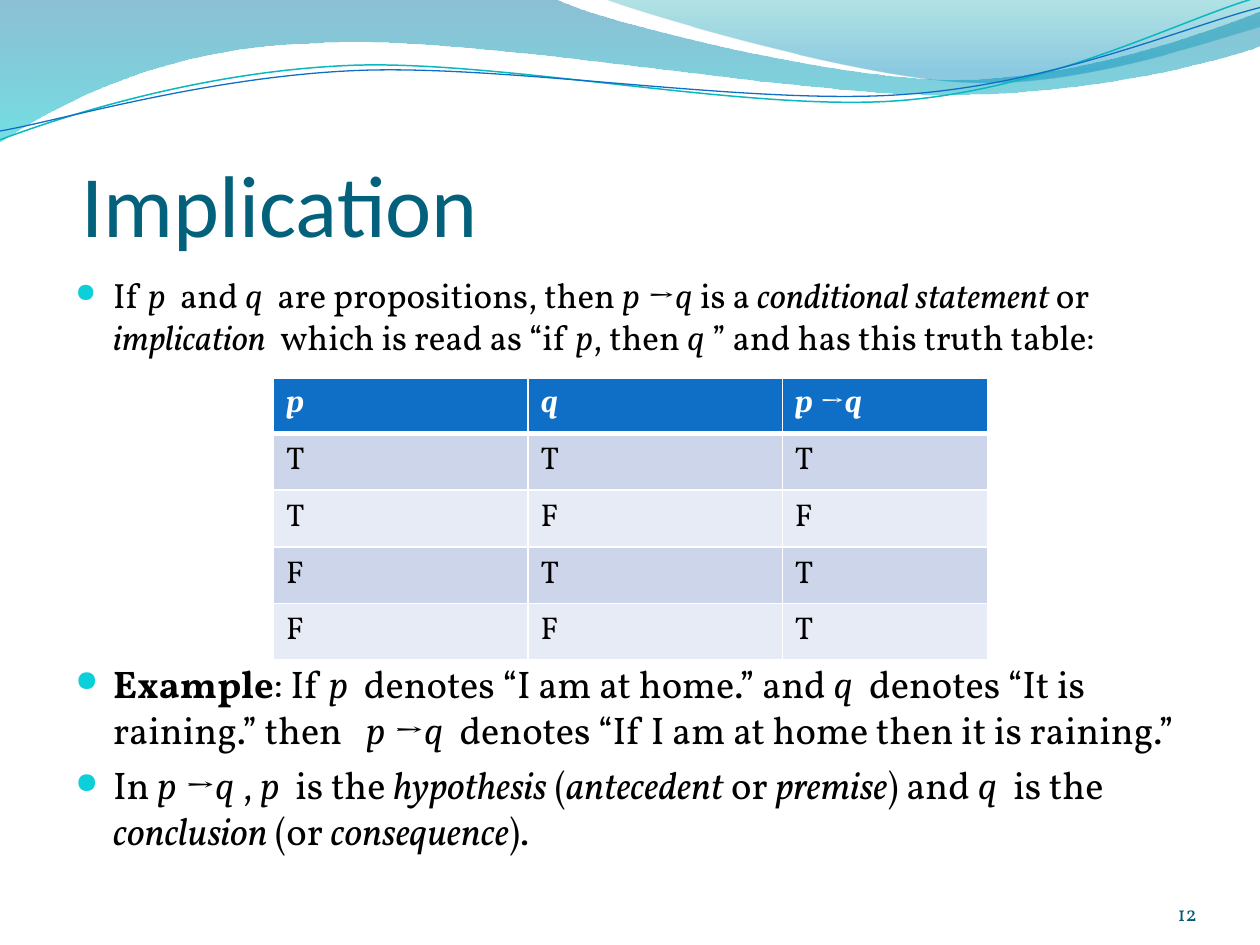
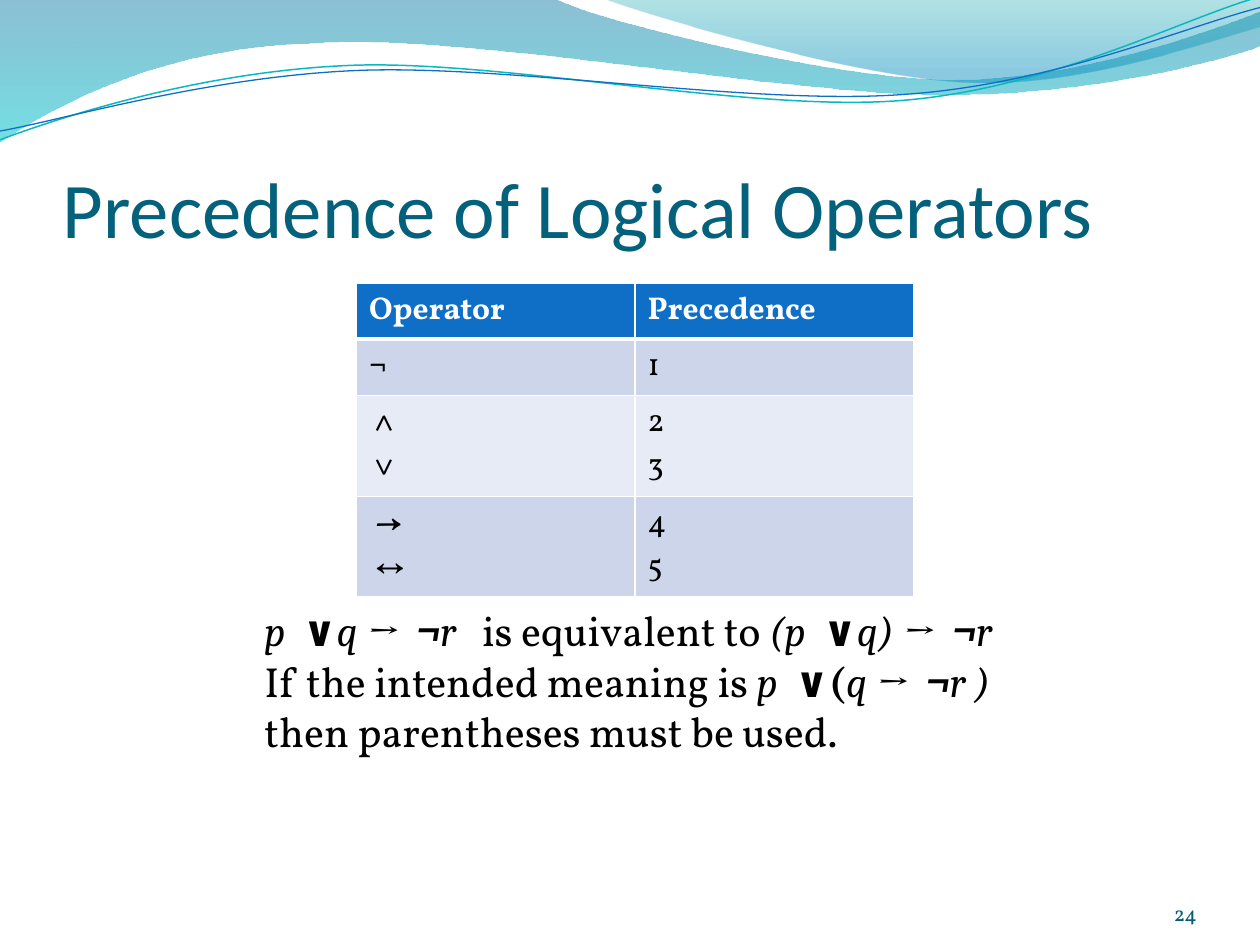
from lxml.etree import Element, SubElement
from pptx import Presentation
from pptx.dml.color import RGBColor
from pptx.enum.text import MSO_ANCHOR, PP_ALIGN
from pptx.oxml.ns import qn
from pptx.util import Inches, Pt

WHITE = RGBColor(0xFF, 0xFF, 0xFF)
BLACK = RGBColor(0x00, 0x00, 0x00)
TITLE_TEAL = RGBColor(0x04, 0x61, 0x7B)
NUMBER_TEAL = RGBColor(0x04, 0x5D, 0x75)
HEADER_BLUE = RGBColor(0x0F, 0x6F, 0xC6)
LINE_TEAL = RGBColor(0x0A, 0xB8, 0xBF)
ROW_FILLS = [RGBColor(0xCC, 0xD5, 0xEA), RGBColor(0xE7, 0xEB, 0xF5)]
BULLET_TEAL = RGBColor(0x0B, 0xD0, 0xD9)
WAVE_BLUE = RGBColor(0x00, 0x74, 0xA1)
WAVE_TEAL = RGBColor(0x00, 0xC6, 0xCF)
CREST_GREEN = RGBColor(0x00, 0xA1, 0xA9)
CREST_BLUE = RGBColor(0x00, 0x8B, 0xBF)

# Run styles: font, bold, italic, extra letter spacing in em
STYLES = {
    "text": ("Vollkorn", False, False, 0),
    "term": ("Vollkorn", False, True, 0),
    "strong": ("Vollkorn", True, False, 0),
    "gap": ("Vollkorn", False, False, 0.21),
    "wide gap": ("Vollkorn", False, False, 0.42),
    "var": ("Cambria", False, True, 0),
    "arrow": ("Cambria", False, False, 0),
    "op": ("Cambria", True, False, 0),
    "slanted op": ("Cambria", True, True, 0),
    "title": ("Calibri", False, False, 0),
}
GAP, WIDE_GAP = (" ", "gap"), (" ", "wide gap")
P, Q, R = ("p", "var"), ("q", "var"), ("r", "var")
P_IMPLIES_Q = [("p ", "var"), ("→", "arrow"), Q]
P_OR = [P, GAP, ("∨", "op")]
IMPLIES_NOT = [("→", "slanted op"), GAP, ("¬", "slanted op")]

# Header waves: a start point, then lines (1 point) or Bezier curves (3 points)
# Filled waves carry gradient stops: position, colour, opacity in percent
FILLED_WAVES = [
    ([(0, 0), [(4.4, -0.01)],
      [(4.76, 0.17), (6.64, 0.63), (7.58, 0.63)],
      [(8.53, 0.63), (9.58, 0.26), (10, 0.09)],
      [(10.01, 0.36)],
      [(9.83, 0.44), (8.7, 0.76), (7.46, 0.75)],
      [(6.22, 0.75), (3.82, 0.28), (2.57, 0.34)],
      [(1.29, 0.36), (0.46, 0.83), (-0.01, 1.13)]],
     [(0, WAVE_BLUE, 45), (1, WAVE_TEAL, 55)]),
    ([(4.79, -0.01),
      [(5.09, 0.11), (6.82, 0.62), (7.69, 0.65)],
      [(8.56, 0.69), (9.61, 0.32), (10, 0.21)],
      [(10, 0)]],
     [(0, CREST_GREEN, 30), (0.8, CREST_BLUE, 45)]),
]
LINE_WAVES = [
    ([(0, 1.11),
      [(0.48, 0.93), (1.58, 0.57), (2.77, 0.52)],
      [(3.95, 0.47), (5.93, 0.89), (7.13, 0.8)],
      [(8.33, 0.71), (9.38, 0.15), (9.98, -0.02)]], LINE_TEAL, 0.85),
    ([(0, 1.04),
      [(0.47, 0.96), (1.64, 0.61), (2.83, 0.56)],
      [(4.03, 0.51), (5.97, 0.84), (7.17, 0.75)],
      [(8.36, 0.67), (9.41, 0.21), (10, 0.06)]], HEADER_BLUE, 0.75),
]

# Bullets: size, space before, runs (the second leaves room for the table)
IMPLICATION_BULLETS = [
    (20, 0, [("If ", "text"), P, GAP, ("and ", "text"), Q, GAP,
             ("are propositions, then ", "text"), *P_IMPLIES_Q,
             (" is a ", "text"), ("conditional statement ", "term"),
             ("or ", "text"), ("implication", "term"), GAP,
             ("which is read as “if ", "text"), P, (", then ", "text"), Q,
             (" ” and has this truth table:", "text")]),
    (22, 173, [("Example", "strong"), (": If ", "text"), P, GAP,
               ("denotes “I am at home.” and ", "text"), Q, GAP,
               ("denotes “It is raining.” then", "text"), WIDE_GAP, *P_IMPLIES_Q, GAP,
               ("denotes “If I am at home then it is raining.”", "text")]),
    (22, 5, [("In ", "text"), *P_IMPLIES_Q, (" , ", "text"), P, GAP,
             ("is the ", "text"), ("hypothesis", "term"), (" (", "text"),
             ("antecedent", "term"), (" or ", "text"), ("premise", "term"),
             (") and ", "text"), Q, GAP, ("is the ", "text"),
             ("conclusion", "term"), (" (or ", "text"),
             ("consequence", "term"), (").", "text")]),
]
# Table cells: a list of paragraphs, each a list of runs
TRUTH_HEADER = [[[("p", "slanted op")]], [[("q", "slanted op")]],
                [[("p ", "slanted op"), ("→", "op"), ("q", "slanted op")]]]
TRUTH_ROWS = [[[[(value, "text")]] for value in row]
              for row in ("TTT", "TFF", "FTT", "FFT")]
PRECEDENCE_HEADER = [[[("Operator", "strong")]], [[("Precedence", "strong")]]]
PRECEDENCE_ROWS = [
    [[[("¬", "strong")]], [[("1", "text")]]],
    [[[("∧", "strong")], [("∨", "strong")]], [[("2", "text")], [("3", "text")]]],
    [[[("→", "strong")], [("↔", "text")]], [[("4", "text")], [("5", "text")]]],
]
EQUIVALENCE_LINES = [
    [*P_OR, ("q ", "var"), *IMPLIES_NOT, R, WIDE_GAP, ("is equivalent to ", "text"),
     ("(", "var"), *P_OR, ("q) ", "var"), *IMPLIES_NOT, R],
    [("If the intended meaning is ", "text"), *P_OR, ("(", "op"), ("q ", "var"),
     *IMPLIES_NOT, ("r )", "var")],
    [("then parentheses must be used.", "text")],
]


def add_wave(slide, segments, close):
    """Draw the outline through all its points, then bend the 3-point parts into curves."""
    (start_x, start_y), *parts = segments
    builder = slide.shapes.build_freeform(Inches(start_x), Inches(start_y))
    builder.add_line_segments([(Inches(x), Inches(y)) for part in parts for x, y in part],
                              close=close)
    wave = builder.convert_to_shape()
    wave.shadow.inherit = False
    lines = iter(list(wave.element.spPr.iter(qn("a:lnTo"))))
    for part in parts:
        steps = [next(lines) for _ in part]
        if len(part) == 3:
            curve = Element(qn("a:cubicBezTo"))
            steps[0].addprevious(curve)
            for step in steps:
                curve.append(step[0])
                step.getparent().remove(step)
    return wave


def add_header_waves(slide):
    for segments, stops in FILLED_WAVES:
        wave = add_wave(slide, segments, True)
        wave.line.fill.background()
        wave.fill.gradient()
        wave.fill.gradient_angle = 270
        for stop, (position, color, _) in zip(wave.fill.gradient_stops, stops):
            stop.position = position
            stop.color.rgb = color
        for color_xml, (_, _, opacity) in zip(wave.element.spPr.iter(qn("a:srgbClr")), stops):
            SubElement(color_xml, qn("a:alpha"), val=str(opacity * 1000))
    for segments, color, width in LINE_WAVES:
        wave = add_wave(slide, segments, False)
        wave.fill.background()
        wave.line.color.rgb = color
        wave.line.width = Pt(width)


def add_runs(paragraph, runs, size, color=BLACK):
    for text, style in runs:
        run = paragraph.add_run()
        run.text = text
        font = run.font
        font.name, font.bold, font.italic, spacing = STYLES[style]
        font.size = Pt(size)
        font.color.rgb = color
        if spacing:
            run._r.get_or_add_rPr().set("spc", str(round(spacing * size * 100)))


def paragraphs_of(frame, count):
    return [frame.paragraphs[0]] + [frame.add_paragraph() for _ in range(count - 1)]


def add_text_frame(slide, left, top, width, height, margins=None, anchor=MSO_ANCHOR.TOP):
    box = slide.shapes.add_textbox(Inches(left), Inches(top), Inches(width), Inches(height))
    frame = box.text_frame
    frame.word_wrap = True
    frame.vertical_anchor = anchor
    if margins:
        (frame.margin_left, frame.margin_top,
         frame.margin_right, frame.margin_bottom) = map(Inches, margins)
    return frame


def add_bullet(paragraph):
    properties = paragraph._p.get_or_add_pPr()
    properties.set("marL", str(Inches(0.3)))
    properties.set("indent", str(-Inches(0.3)))
    color = SubElement(properties, qn("a:buClr"))
    SubElement(color, qn("a:srgbClr"), val=str(BULLET_TEAL))
    SubElement(properties, qn("a:buSzPct"), val="75000")
    SubElement(properties, qn("a:buChar"), char="●")


def add_bottom_border(cell, color, width):
    border = Element(qn("a:lnB"), w=str(Pt(width)))
    fill = SubElement(border, qn("a:solidFill"))
    SubElement(fill, qn("a:srgbClr"), val=str(color))
    cell._tc.get_or_add_tcPr().insert(0, border)


def add_grid(slide, left, top, widths, heights, header, rows):
    grid = slide.shapes.add_table(len(heights), len(widths), Inches(left), Inches(top),
                                  Inches(sum(widths)), Inches(sum(heights))).table
    for column, width in zip(grid.columns, widths):
        column.width = Inches(width)
    for row, height in zip(grid.rows, heights):
        row.height = Inches(height)
    for r, cells in enumerate([header, *rows]):
        for c, content in enumerate(cells):
            cell = grid.cell(r, c)
            cell.fill.solid()
            cell.fill.fore_color.rgb = ROW_FILLS[(r - 1) % 2] if r else HEADER_BLUE
            if r == 0:
                add_bottom_border(cell, WHITE, 3)
            for paragraph, runs in zip(paragraphs_of(cell.text_frame, len(content)), content):
                add_runs(paragraph, runs, 18, BLACK if r else WHITE)
    return grid


def add_base_slide(deck, title, title_size, number, title_indent=0):
    slide = deck.slides.add_slide(deck.slide_layouts[6])
    add_header_waves(slide)
    heading = add_text_frame(slide, 0.5, 0.77, 9, 1.25, (title_indent, 0.05, 0, 0),
                             MSO_ANCHOR.BOTTOM)
    add_runs(heading.paragraphs[0], [(title, "title")], title_size, TITLE_TEAL)
    footer = add_text_frame(slide, 8.67, 6.95, 0.83, 0.4, (0, 0, 0, 0), MSO_ANCHOR.BOTTOM)
    footer.paragraphs[0].alignment = PP_ALIGN.RIGHT
    add_runs(footer.paragraphs[0], [(number, "text")], 12, NUMBER_TEAL)
    return slide


def add_implication(deck):
    slide = add_base_slide(deck, "Implication", 50, "12", title_indent=0.15)
    body = add_text_frame(slide, 0.5, 2.12, 9, 4.8)
    bullets = paragraphs_of(body, len(IMPLICATION_BULLETS))
    for paragraph, (size, gap, runs) in zip(bullets, IMPLICATION_BULLETS):
        add_bullet(paragraph)
        paragraph.space_before = Pt(gap)
        add_runs(paragraph, runs, size)
    add_grid(slide, 2.17, 3, [2.02, 2.02, 1.63], [0.44] + [0.45] * 4,
             TRUTH_HEADER, TRUTH_ROWS)


def add_precedence(deck):
    slide = add_base_slide(deck, "Precedence of Logical Operators", 45, "24")
    grid = add_grid(slide, 2.83, 2.25, [2.21] * 2, [0.44, 0.45, 0.8, 0.8],
                    PRECEDENCE_HEADER, PRECEDENCE_ROWS)
    for r in (2, 3):
        grid.cell(r, 0).margin_left = Inches(0.15)
    note = add_text_frame(slide, 2, 4.75, 6.25, 2.12)
    for paragraph, runs in zip(paragraphs_of(note, len(EQUIVALENCE_LINES)), EQUIVALENCE_LINES):
        add_runs(paragraph, runs, 24)


def main():
    deck = Presentation()
    deck.slide_width, deck.slide_height = Inches(10), Inches(7.5)
    add_implication(deck)
    add_precedence(deck)
    deck.save("out.pptx")


if __name__ == "__main__":
    main()
